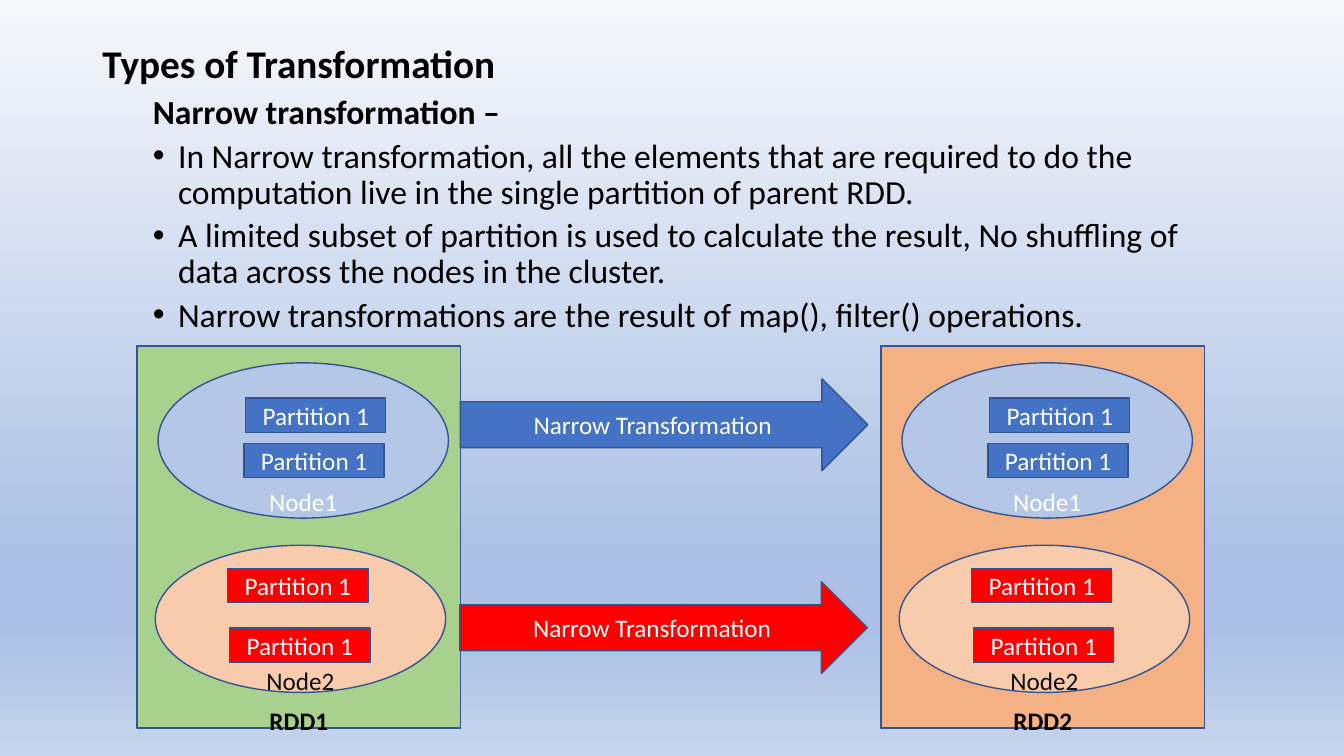
from dataclasses import dataclass

from lxml import etree
from pptx import Presentation
from pptx.dml.color import RGBColor
from pptx.enum import shapes, text
from pptx.oxml import ns
from pptx.util import Pt

FONT = "Calibri"
BLACK, WHITE, NEAR_BLACK = "000000", "FFFFFF", "0D0D0D"
BLUE, RED, OUTLINE = "4472C4", "FF0000", "325491"
BACKGROUND_STOPS = [(0, "F6F8FC"), (74, "ABC0E4"), (83, "ABC0E4"), (100, "C7D5ED")]
PANEL_TOP = 247
KINDS = shapes.MSO_SHAPE

BULLETS = [
    "In Narrow transformation, all the elements that are required to do the "
    "computation live in the single partition of parent RDD.",
    "A limited subset of partition is used to calculate the result, No shuffling "
    "of data across the nodes in the cluster.",
    "Narrow transformations are the result of map(), filter() operations.",
]


@dataclass(frozen=True)
class Block:
    """A labelled shape; label_drop pushes the label down from the text area's top."""
    kind: int
    left: float
    top: float
    width: float
    height: float
    fill: str
    label: str
    color: str = WHITE
    bold: bool = False
    label_drop: float = 0


@dataclass(frozen=True)
class Panel:
    left: float
    fill: str
    label: str


PANELS = [Panel(97.9, "A9D18E", "RDD1"), Panel(629.3, "F4B183", "RDD2")]

ARROWS = [
    Block(KINDS.RIGHT_ARROW, 328.9, 270.6, 291, 65.6, BLUE, "Narrow Transformation"),
    Block(KINDS.RIGHT_ARROW, 328.5, 415.6, 291, 65.6, RED, "Narrow Transformation"),
]


def rgb(value: str) -> RGBColor:
    return RGBColor.from_string(value)


def add_run(paragraph, words: str, size: float, color: str, bold: bool = False) -> None:
    run = paragraph.add_run()
    run.text = words
    run.font.name = FONT
    run.font.size = Pt(size)
    run.font.bold = bold
    run.font.color.rgb = rgb(color)


def add_block(slide, block: Block) -> None:
    shape = slide.shapes.add_shape(
        block.kind, Pt(block.left), Pt(block.top), Pt(block.width), Pt(block.height))
    shape.shadow.inherit = False
    shape.fill.solid()
    shape.fill.fore_color.rgb = rgb(block.fill)
    shape.line.color.rgb = rgb(OUTLINE)
    shape.line.width = Pt(1)
    frame = shape.text_frame
    frame.word_wrap = True
    frame.vertical_anchor = text.MSO_ANCHOR.MIDDLE
    if block.label_drop:
        frame.vertical_anchor = text.MSO_ANCHOR.TOP
        frame.margin_top, frame.margin_bottom = Pt(block.label_drop), Pt(0)
    paragraph = frame.paragraphs[0]
    paragraph.alignment = text.PP_ALIGN.CENTER
    add_run(paragraph, block.label, 18, block.color, block.bold)


def partition(left: float, top: float, fill: str) -> Block:
    return Block(KINDS.RECTANGLE, left, top, 100.1, 24.5, fill, "Partition 1")


def add_panel(slide, panel: Panel) -> None:
    left, top = panel.left, PANEL_TOP
    blocks = [
        Block(KINDS.RECTANGLE, left, top, 231.1, 272.9, panel.fill, panel.label,
              BLACK, True, 257),
        Block(KINDS.OVAL, left + 13, top + 142.5, 207.4, 105.1, "F8CBAD", "Node2",
              NEAR_BLACK, label_drop=70),
        Block(KINDS.OVAL, left + 15, top + 12.2, 207.4, 110.9, "B4C7E7", "Node1",
              label_drop=72),
        partition(left + 77.6, top + 37.4, BLUE),
        partition(left + 76.4, top + 69.8, BLUE),
        partition(left + 64.8, top + 159.1, RED),
        partition(left + 66.2, top + 201.6, RED),
    ]
    for block in blocks:
        add_block(slide, block)


def paint_background(slide) -> None:
    fill = slide.background.fill
    fill.gradient()
    fill.gradient_angle = 270
    stops = slide.element.find(".//" + ns.qn("a:gsLst"))
    for stop in list(stops):
        stops.remove(stop)
    for percent, color in BACKGROUND_STOPS:
        stop = etree.SubElement(stops, ns.qn("a:gs"), pos=str(percent * 1000))
        etree.SubElement(stop, ns.qn("a:srgbClr"), val=color)


def place(placeholder, left: float, top: float, width: float, height: float):
    placeholder.left, placeholder.top = Pt(left), Pt(top)
    placeholder.width, placeholder.height = Pt(width), Pt(height)
    frame = placeholder.text_frame
    frame.word_wrap = True
    frame.auto_size = text.MSO_AUTO_SIZE.NONE
    return frame


def format_item(paragraph, margin: float, indent: float, before: float, bullet: str = "") -> None:
    paragraph.level = 1
    paragraph.alignment = text.PP_ALIGN.LEFT
    paragraph.line_spacing = 0.9
    paragraph.space_before = Pt(before)
    properties = paragraph._p.get_or_add_pPr()
    properties.set("marL", str(Pt(margin)))
    properties.set("indent", str(Pt(indent)))
    if bullet:
        etree.SubElement(properties, ns.qn("a:buFont"), typeface="Arial")
        etree.SubElement(properties, ns.qn("a:buChar"), char=bullet)
    else:
        etree.SubElement(properties, ns.qn("a:buNone"))


def fill_placeholders(slide) -> None:
    title = place(slide.shapes.title, 66, 28.8, 828, 36)
    title.vertical_anchor = text.MSO_ANCHOR.MIDDLE
    heading = title.paragraphs[0]
    heading.alignment = text.PP_ALIGN.LEFT
    heading.line_spacing = 0.9
    add_run(heading, "Types of Transformation", 28, BLACK, True)

    body = place(slide.placeholders[1], 66, 64.8, 828, 422)
    body.vertical_anchor = text.MSO_ANCHOR.TOP
    subtitle = body.paragraphs[0]
    format_item(subtitle, 36, 0, 0)
    add_run(subtitle, "Narrow transformation –", 24, BLACK, True)
    for words in BULLETS:
        paragraph = body.add_paragraph()
        format_item(paragraph, 54, -18, 5, "•")
        add_run(paragraph, words, 24, BLACK)


def main() -> None:
    presentation = Presentation()
    presentation.slide_width, presentation.slide_height = Pt(960), Pt(540)
    slide = presentation.slides.add_slide(presentation.slide_layouts[1])
    paint_background(slide)
    fill_placeholders(slide)
    for panel in PANELS:
        add_panel(slide, panel)
    for arrow in ARROWS:
        add_block(slide, arrow)
    presentation.save("out.pptx")


if __name__ == "__main__":
    main()
